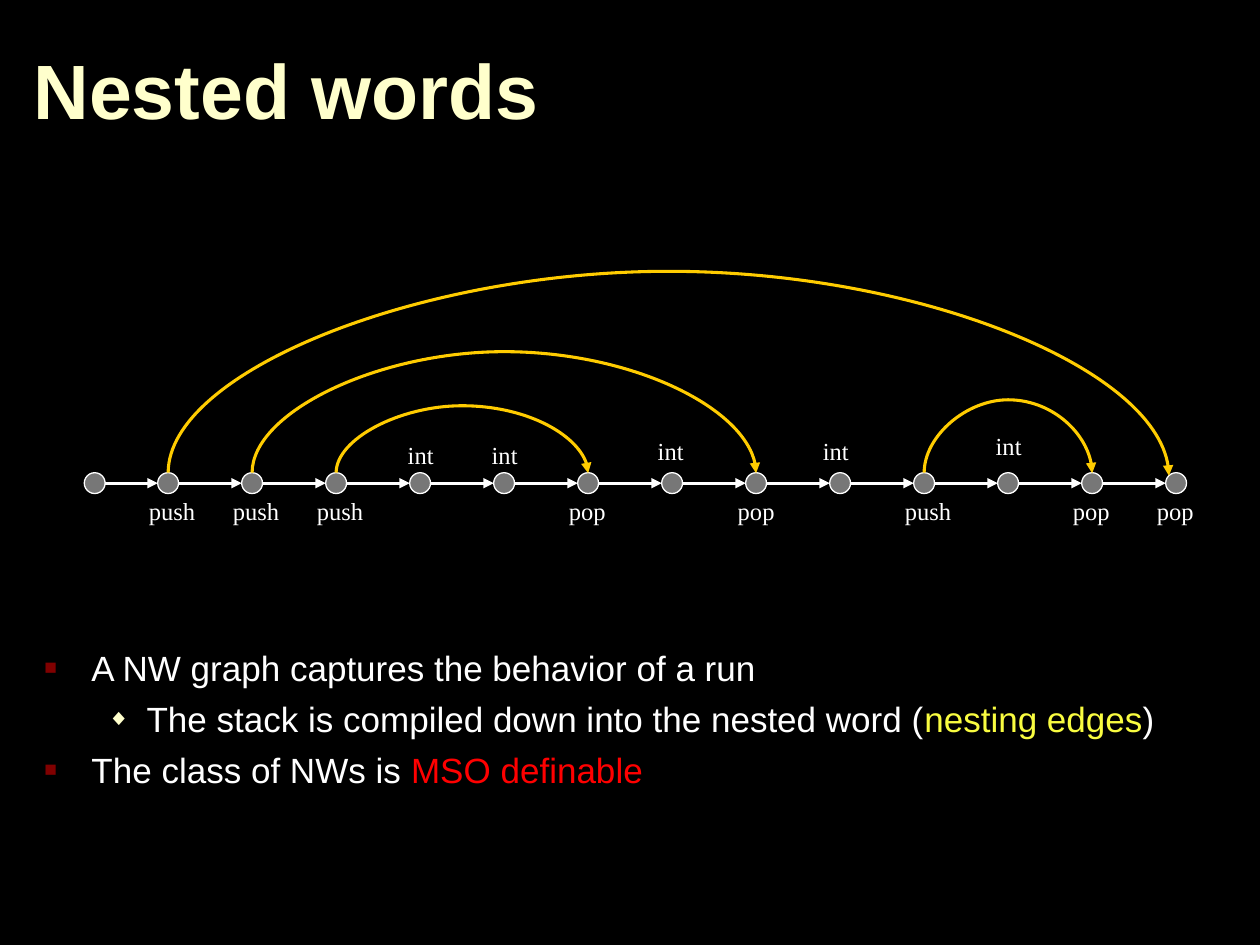
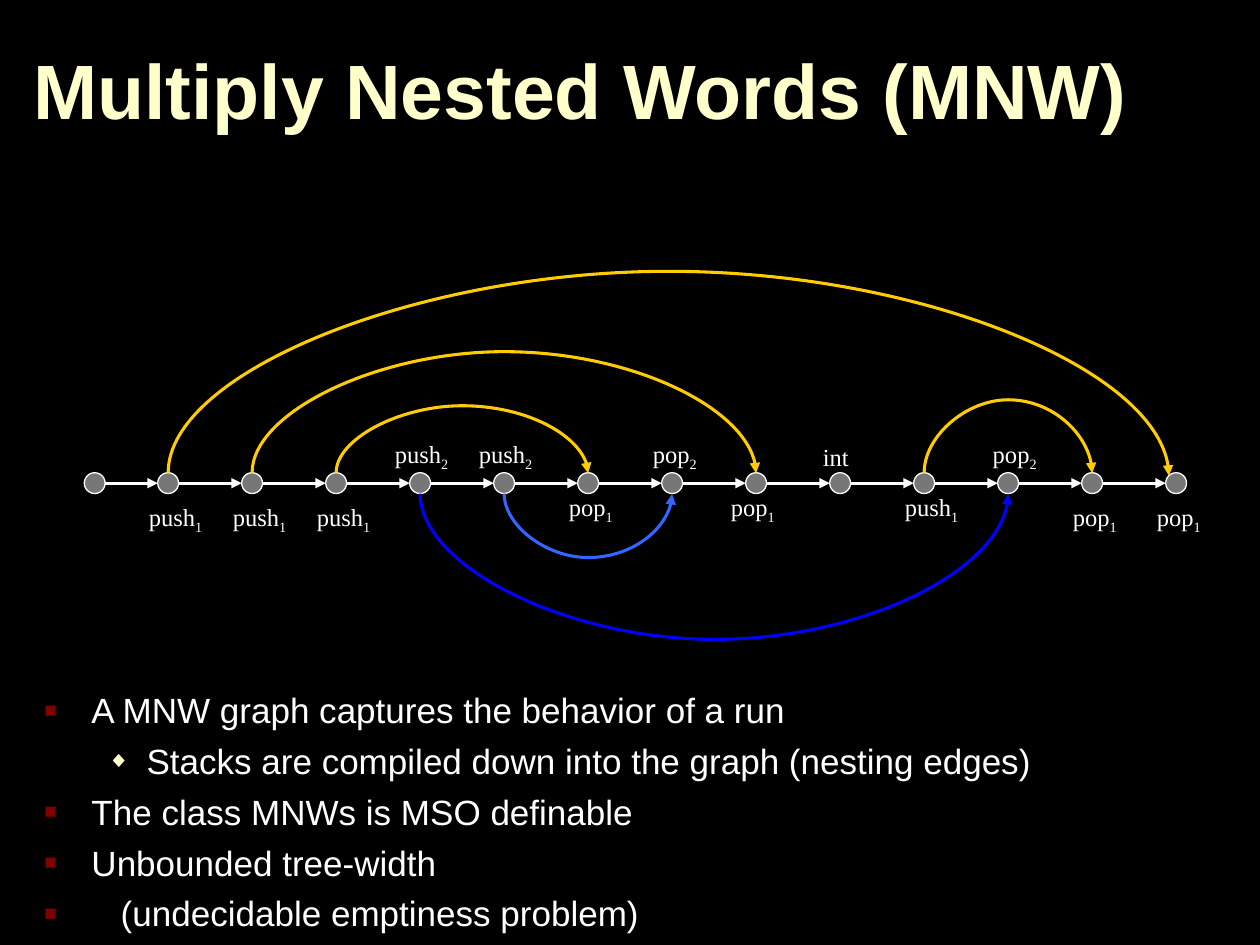
from dataclasses import dataclass

from lxml.etree import SubElement
from pptx import Presentation
from pptx.dml.color import RGBColor
from pptx.enum.shapes import MSO_CONNECTOR, MSO_SHAPE
from pptx.enum.text import MSO_ANCHOR, MSO_AUTO_SIZE, PP_ALIGN
from pptx.oxml.ns import qn
from pptx.util import Cm, Pt


@dataclass(frozen=True)
class Theme:
    background: str = "000000"
    title: str = "FFFFCC"
    text: str = "FFFFFF"
    node: str = "777777"
    square: str = "800000"
    first_stack: str = "FFCC00"
    inner_second_stack: str = "3366FF"
    outer_second_stack: str = "0000FF"
    nesting: str = "F9FC40"
    definable: str = "FF0000"
    sans: str = "Arial"
    serif: str = "Times New Roman"
    title_size: int = 44
    body_size: int = 20
    label_size: int = 14
    edge_width: float = 1.75
    node_width: float = 0.75


THEME = Theme()

BULLETS = {
    "main": dict(level=0, mark="■", color=THEME.square, size=60, left=0.95, hang=0.95),
    "sub": dict(level=1, mark="◆", color=THEME.title, size=65, left=2.06, hang=0.79),
    "remark": dict(level=0, mark="■", color=THEME.square, size=60, left=1.54, hang=1.54),
}

# (first node, last node, signed height, drop at the end, color)
FIRST_STACK_ARCS = [
    (1, 13, -4.06, 0.06, THEME.first_stack),
    (2, 8, -2.44, 0.01, THEME.first_stack),
    (3, 6, -1.35, 0.01, THEME.first_stack),
    (10, 12, -1.47, 0.01, THEME.first_stack),
]
SECOND_STACK_ARCS = [
    (5, 7, 1.29, 0.01, THEME.inner_second_stack),
    (4, 11, 2.94, 0.01, THEME.outer_second_stack),
]

# (node, word, stack, offset from node centre, top)
SLIDES = [
    {
        "title": "Nested words",
        "body_top": 12.91,
        "body": [
            ("main", [("A NW graph captures the behavior of a run", THEME.text)]),
            ("sub", [
                ("The stack is compiled down into the nested word (", THEME.text),
                ("nesting edges", THEME.nesting),
                (")", THEME.text),
            ]),
            ("main", [("The class of NWs is ", THEME.text), ("MSO definable", THEME.definable)]),
        ],
        "arcs": FIRST_STACK_ARCS,
        "labels": [
            (1, "push", "", -0.64, 9.53),
            (2, "push", "", -0.64, 9.53),
            (3, "push", "", -0.64, 9.53),
            (4, "int", "", -0.5, 8.76),
            (5, "int", "", -0.5, 8.76),
            (6, "pop", "", -0.64, 9.53),
            (7, "int", "", -0.54, 8.68),
            (8, "pop", "", -0.62, 9.53),
            (9, "int", "", -0.6, 8.68),
            (10, "push", "", -0.64, 9.53),
            (11, "int", "", -0.5, 8.58),
            (12, "pop", "", -0.64, 9.53),
            (13, "pop", "", -0.64, 9.53),
        ],
    },
    {
        "title": "Multiply Nested Words (MNW)",
        "body_top": 13.76,
        "body": [
            ("main", [("A MNW graph captures the behavior of a run", THEME.text)]),
            ("sub", [("Stacks are compiled down into the graph (nesting edges)", THEME.text)]),
            ("main", [("The class MNWs is MSO definable", THEME.text)]),
            ("main", [("Unbounded tree-width", THEME.text)]),
            ("remark", [("(undecidable emptiness problem)", THEME.text)]),
        ],
        "arcs": FIRST_STACK_ARCS + SECOND_STACK_ARCS,
        "labels": [
            (1, "push", "1", -0.64, 9.74),
            (2, "push", "1", -0.64, 9.74),
            (3, "push", "1", -0.64, 9.74),
            (4, "push", "2", -0.76, 8.47),
            (5, "push", "2", -0.76, 8.47),
            (6, "pop", "1", -0.64, 9.53),
            (7, "pop", "2", -0.64, 8.47),
            (8, "pop", "1", -0.76, 9.53),
            (9, "int", "", -0.6, 8.79),
            (10, "push", "1", -0.64, 9.53),
            (11, "pop", "2", -0.56, 8.47),
            (12, "pop", "1", -0.64, 9.74),
            (13, "pop", "1", -0.64, 9.74),
        ],
    },
]

LABEL_WIDTHS = {"push": 1.65, "pop": 1.47, "int": 1.04}
STACK_WIDTH = 0.18
START_X, FIRST_X, LAST_X = 1.91, 3.39, 23.71
STEPS = 12
NODE_X = [START_X] + [FIRST_X + (LAST_X - FIRST_X) * step / STEPS for step in range(STEPS + 1)]
NODE_Y, RADIUS = 9.74, 0.21


def color(value):
    return RGBColor.from_string(value)


def place(shape, left, top, width, height):
    shape.left, shape.top = Cm(left), Cm(top)
    shape.width, shape.height = Cm(width), Cm(height)


def add_run(paragraph, text, font_name, size, font_color, bold=False):
    run = paragraph.add_run()
    run.text = text
    run.font.name, run.font.size, run.font.bold = font_name, Pt(size), bold
    run.font.color.rgb = color(font_color)
    return run


def add_title(slide, text):
    title = slide.shapes.title
    place(title, 0.42, 0.42, 24.77, 3.18)
    frame = title.text_frame
    frame.auto_size, frame.vertical_anchor = MSO_AUTO_SIZE.NONE, MSO_ANCHOR.MIDDLE
    paragraph = frame.paragraphs[0]
    paragraph.alignment, paragraph.line_spacing = PP_ALIGN.LEFT, 0.7
    add_run(paragraph, text, THEME.sans, THEME.title_size, THEME.title, bold=True)


def set_bullet(paragraph, level, mark, color, size, left, hang):
    paragraph.level = level
    properties = paragraph._p.get_or_add_pPr()
    properties.set("marL", str(Cm(left)))
    properties.set("indent", str(-Cm(hang)))
    bullet_color = SubElement(properties, qn("a:buClr"))
    SubElement(bullet_color, qn("a:srgbClr"), val=color)
    SubElement(properties, qn("a:buSzPct"), val=str(size * 1000))
    SubElement(properties, qn("a:buFont"), typeface=THEME.sans)
    SubElement(properties, qn("a:buChar"), char=mark)


def add_body(slide, top, items):
    body = slide.placeholders[1]
    place(body, 0.64, top, 24.34, 5.93)
    frame = body.text_frame
    frame.auto_size = MSO_AUTO_SIZE.NONE
    for index, (kind, runs) in enumerate(items):
        paragraph = frame.add_paragraph() if index else frame.paragraphs[0]
        paragraph.space_before = Pt(5 if index else 0)
        set_bullet(paragraph, **BULLETS[kind])
        for text, text_color in runs:
            add_run(paragraph, text, THEME.sans, THEME.body_size, text_color)


def add_node(slide, x):
    node = slide.shapes.add_shape(
        MSO_SHAPE.FLOWCHART_CONNECTOR,
        Cm(x - RADIUS), Cm(NODE_Y - RADIUS), Cm(2 * RADIUS), Cm(2 * RADIUS),
    )
    node.shadow.inherit = False
    node.fill.solid()
    node.fill.fore_color.rgb = color(THEME.node)
    node.line.color.rgb = color(THEME.text)
    node.line.width = Pt(THEME.node_width)


def add_arrow(slide, kind, start, end, line_color):
    arrow = slide.shapes.add_connector(kind, *(Cm(value) for value in start + end))
    arrow.line.color.rgb = color(line_color)
    arrow.line.width = Pt(THEME.edge_width)
    properties = arrow._element.spPr
    SubElement(properties.get_or_add_ln(), qn("a:tailEnd"), type="triangle")
    SubElement(properties, qn("a:effectLst"))
    return arrow


def add_arc(slide, first, last, height, drop, line_color):
    start_x, end_x = NODE_X[first], NODE_X[last]
    if drop > 0.01:
        end_x -= RADIUS * 0.7
    y = NODE_Y + (RADIUS if height > 0 else -RADIUS)
    arc = add_arrow(slide, MSO_CONNECTOR.CURVE, (start_x, y), (end_x, y + drop), line_color)
    span = end_x - start_x
    place(arc, (start_x + end_x - drop) / 2, y + (drop - span) / 2, drop, span)
    transform = arc._element.spPr.find(qn("a:xfrm"))
    transform.set("rot", "5400000")
    transform.set("flipV", "1")
    adjustments = arc._element.spPr.find(qn("a:prstGeom")).find(qn("a:avLst"))
    SubElement(adjustments, qn("a:gd"), name="adj1", fmla=f"val {round(height / drop * 100000)}")


def add_label(slide, node, word, stack, offset, top):
    is_internal = word == "int"
    width = LABEL_WIDTHS[word] + (STACK_WIDTH if stack else 0)
    label = slide.shapes.add_textbox(
        Cm(NODE_X[node] + offset), Cm(top), Cm(width), Cm(0.84 if is_internal else 1.27)
    )
    frame = label.text_frame
    frame.word_wrap = True
    frame.vertical_anchor = MSO_ANCHOR.BOTTOM
    frame.margin_bottom = Cm(0.13 if is_internal else 0.21)
    paragraph = frame.paragraphs[0]
    add_run(paragraph, word, THEME.serif, THEME.label_size, THEME.text)
    if stack:
        run = add_run(paragraph, stack, THEME.serif, THEME.label_size, THEME.text)
        run._r.get_or_add_rPr().set("baseline", "-25000")


def add_word_graph(slide, arcs, labels):
    for x in NODE_X:
        add_node(slide, x)
    for x, next_x in zip(NODE_X, NODE_X[1:]):
        start, end = (x + RADIUS, NODE_Y), (next_x - RADIUS, NODE_Y)
        add_arrow(slide, MSO_CONNECTOR.STRAIGHT, start, end, THEME.text)
    for arc in arcs:
        add_arc(slide, *arc)
    for label in labels:
        add_label(slide, *label)


def main():
    presentation = Presentation()
    presentation.slide_width, presentation.slide_height = Cm(25.4), Cm(19.05)
    background = presentation.slide_master.background.fill
    background.solid()
    background.fore_color.rgb = color(THEME.background)
    for content in SLIDES:
        slide = presentation.slides.add_slide(presentation.slide_layouts[1])
        add_title(slide, content["title"])
        add_body(slide, content["body_top"], content["body"])
        add_word_graph(slide, content["arcs"], content["labels"])
    presentation.save("out.pptx")


if __name__ == "__main__":
    main()
